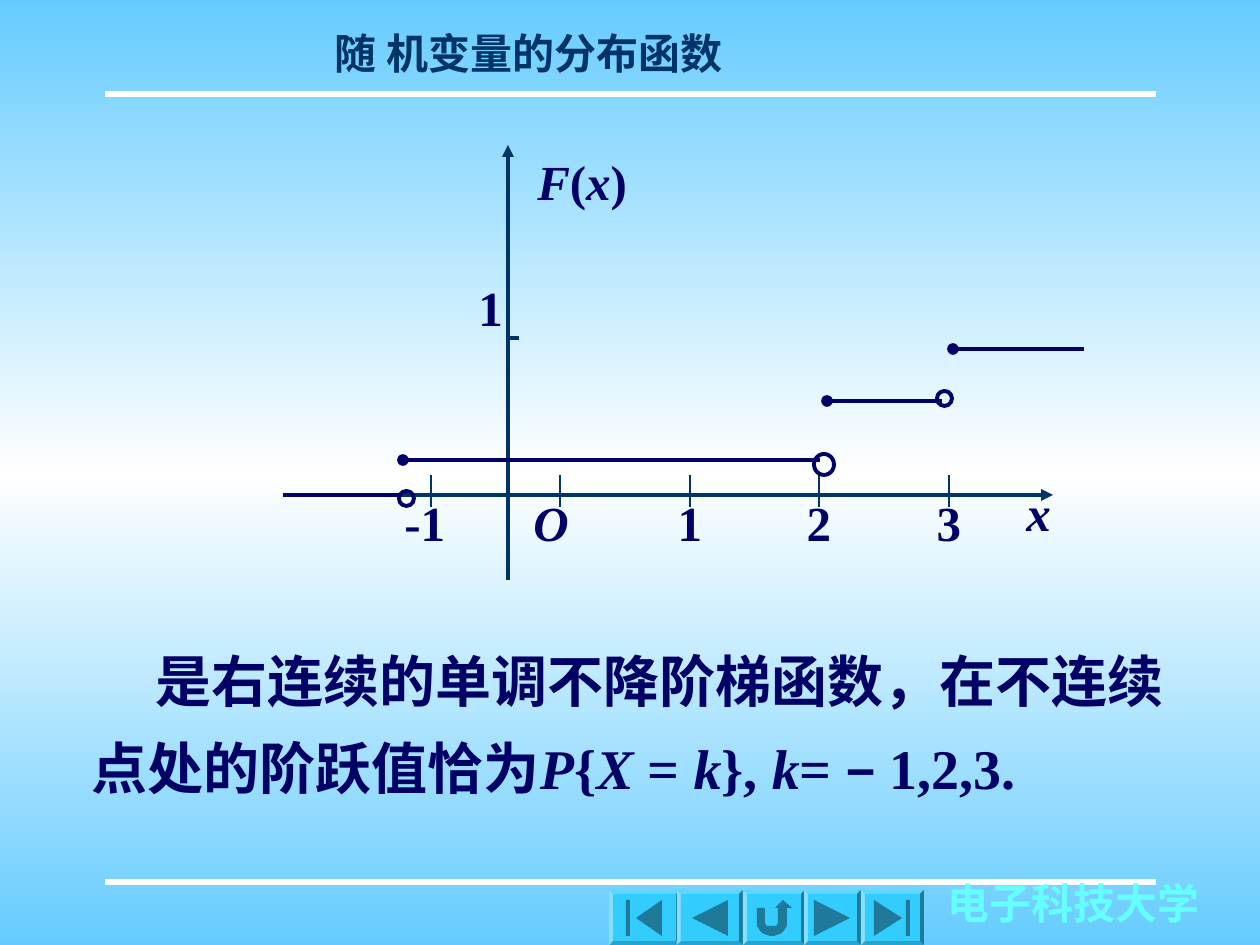
from dataclasses import dataclass
from itertools import groupby
from math import cos, radians, sin

from lxml import etree
from pptx import Presentation
from pptx.dml.color import RGBColor
from pptx.enum.shapes import MSO_CONNECTOR, MSO_SHAPE
from pptx.enum.text import MSO_AUTO_SIZE, PP_ALIGN
from pptx.oxml import parse_xml
from pptx.oxml.ns import nsdecls, qn
from pptx.util import Emu, Pt

SCALE = 914400 / 126
LINE = MSO_CONNECTOR.STRAIGHT
OVAL, BEVEL = MSO_SHAPE.OVAL, MSO_SHAPE.BEVEL
FIT = MSO_AUTO_SIZE.SHAPE_TO_FIT_TEXT
LEFT, CENTER = PP_ALIGN.LEFT, PP_ALIGN.CENTER


@dataclass(frozen=True)
class Theme:
    """Colours, fonts and type sizes of the slide."""
    sky: str = "66CCFF"
    white: str = "FFFFFF"
    axis: str = "003366"
    ink: str = "000066"
    school: str = "66FFFF"
    button: str = "33CCFF"
    icon: str = "1F7A99"
    font: str = "Times New Roman"
    sign: str = "Arial"
    head: int = 24
    label: int = 28
    body: int = 32
    minus: int = 29


THEME = Theme()


def px(value):
    """Turn pixels into EMU."""
    return Emu(round(value * SCALE))


def paint(slide):
    """Give the slide its vertical gradient."""
    stops = ((0, THEME.sky), (50, THEME.white), (100, THEME.sky))
    marks = "".join(
        f'<a:gs pos="{pos * 1000}"><a:srgbClr val="{color}"/></a:gs>'
        for pos, color in stops)
    fill = parse_xml(
        f'<a:gradFill {nsdecls("a")} rotWithShape="1"><a:gsLst>{marks}</a:gsLst>'
        '<a:lin ang="5400000" scaled="0"/></a:gradFill>')
    back = slide.background
    back.fill.solid()
    solid = back.fill._xPr.find(qn("a:solidFill"))
    solid.getparent().replace(solid, fill)


def stroke(slide, start, end, color, width=2.25, head=None, tail=None):
    """Draw a straight line with optional end marks."""
    line = slide.shapes.add_connector(LINE, *map(px, start + end))
    line.line.color.rgb = RGBColor.from_string(color)
    line.line.width = Pt(width)
    pen = line.line._get_or_add_ln()
    for tag, kind in (("a:headEnd", head), ("a:tailEnd", tail)):
        if kind:
            etree.SubElement(pen, qn(tag), type=kind)
    etree.SubElement(line._element.spPr, qn("a:effectLst"))


def style(char):
    """Tell whether a character is a variable or a minus sign."""
    return char.isascii() and char.isalpha(), char == "−"


def write(slide, box, text, size, color, align=LEFT, wrap=True,
          before=0, space=1.0, indent=0):
    """Place a text box whose variables are italic."""
    frame = slide.shapes.add_textbox(*map(px, box)).text_frame
    frame.word_wrap = wrap
    frame.auto_size = FIT
    para = frame.paragraphs[0]
    para.alignment = align
    para.space_before = Pt(before)
    para.line_spacing = space
    if indent:
        para._p.get_or_add_pPr().set("indent", str(px(indent)))
    for (slant, minus), chars in groupby(text, style):
        run = para.add_run()
        run.text = "".join(chars)
        font = run.font
        font.name = THEME.sign if minus else THEME.font
        font.size = Pt(THEME.minus if minus else size)
        font.bold, font.italic = True, slant
        font.color.rgb = RGBColor.from_string(color)


def label(slide, box, text, align=LEFT):
    """Write a label of the graph."""
    write(slide, box, text, THEME.label, THEME.ink, align, before=17.5)


def ring(slide, box):
    """Draw the open circle at the end of a step."""
    dot = slide.shapes.add_shape(OVAL, *map(px, box))
    dot.shadow.inherit = False
    dot.fill.background()
    dot.line.color.rgb = RGBColor.from_string(THEME.ink)
    dot.line.width = Pt(2.25)


def arc(mid, radius, start, end):
    """List points along an arc around (mid, 5)."""
    step = 15 if end > start else -15
    return [(mid + radius * cos(radians(turn)), 5 + radius * sin(radians(turn)))
            for turn in range(start, end + step, step)]


def icons():
    """List the outlines of the five buttons' icons."""
    turn = [(-17, -9), (-9, -9), *arc(-5, 4, 180, 90), *arc(0, 4, 90, 0),
            (4, -9), (1, -9), (9, -18), (18, -9), (13, -9),
            *arc(0, 13, 0, 90), *arc(-4, 13, 90, 180)]
    first = [[(-9, 0), (18, -18), (18, 18)],
             [(-18, -18), (-14, -18), (-14, 18), (-18, 18)]]
    back = [[(-18, 0), (18, -18), (18, 18)]]
    flip = [[[(-x, y) for x, y in ring] for ring in icon]
            for icon in (back, first)]
    return [first, back, [turn], *flip]


def button(slide, left, right, icon):
    """Draw a bevelled button with its icon."""
    top, high = 890, 55
    base = slide.shapes.add_shape(
        BEVEL, *map(px, (left, top, right - left, high)))
    base.adjustments[0] = 0.07
    mid, row = (left + right) / 2, top + high / 2
    spots = [[(mid + x, row + y) for x, y in ring] for ring in icon]
    pen = slide.shapes.build_freeform(*spots[0][0], scale=SCALE)
    for ring in spots:
        pen.move_to(*ring[0])
        pen.add_line_segments(ring[1:], close=True)
    for shape, color in ((base, THEME.button),
                         (pen.convert_to_shape(), THEME.icon)):
        shape.shadow.inherit = False
        shape.fill.solid()
        shape.fill.fore_color.rgb = RGBColor.from_string(color)
        shape.line.fill.background()


def frame(slide):
    """Draw the rules, title, school name and buttons."""
    for row in (882, 94):
        stroke(slide, (105, row), (1156, row), THEME.white, 3)
    write(slide, (252, 21, 553, 63), "随 机变量的分布函数",
          THEME.head, THEME.axis, CENTER)
    write(slide, (935, 885, 277, 48), "电子科技大学",
          THEME.head, THEME.school, wrap=False, space=0.7)
    spans = ((609, 680), (677, 743), (743, 805), (804, 861), (861, 924))
    for (left, right), icon in zip(spans, icons()):
        button(slide, left, right, icon)


def graph(slide):
    """Draw the axes and the steps of the function."""
    stroke(slide, (287, 495), (1053, 495), THEME.axis, tail="triangle")
    label(slide, (1014, 476, 78, 72), "x")
    for place, name in enumerate(("-1", "O", "1", "2", "3")):
        tick = 431 + place * 259 // 2
        stroke(slide, (tick, 475), (tick, 507), THEME.axis, 0.75)
        wide = 91 if place == 0 else 78
        label(slide, (tick - 39, 486, wide, 72), name,
              LEFT if place < 2 else CENTER)
    stroke(slide, (508, 338), (519, 338), THEME.axis)
    stroke(slide, (508, 145), (508, 580), THEME.axis, head="triangle")
    label(slide, (525, 145, 126, 72), "F(x)")
    label(slide, (466, 271, 53, 72), "1")
    steps = ((283, 399, 495, None, (399, 491, 15, 15)),
             (403, 820, 460, "oval", (814, 454, 20, 21)),
             (827, 942, 401, "oval", (937, 391, 15, 15)),
             (953, 1084, 349, "oval", None))
    for left, right, row, head, hole in steps:
        stroke(slide, (left, row), (right, row), THEME.ink, head=head)
        if hole:
            ring(slide, hole)


def main():
    """Build and save the slide."""
    deck = Presentation()
    deck.slide_width, deck.slide_height = px(1260), px(945)
    slide = deck.slides.add_slide(deck.slide_layouts[6])
    paint(slide)
    frame(slide)
    graph(slide)
    write(slide, (79, 620, 1138, 188),
          "是右连续的单调不降阶梯函数，在不连续点处的阶跃值恰为P{X = k}, k= − 1,2,3.",
          THEME.body, THEME.ink, before=20, space=1.3, indent=64)
    deck.save("out.pptx")


if __name__ == "__main__":
    main()
